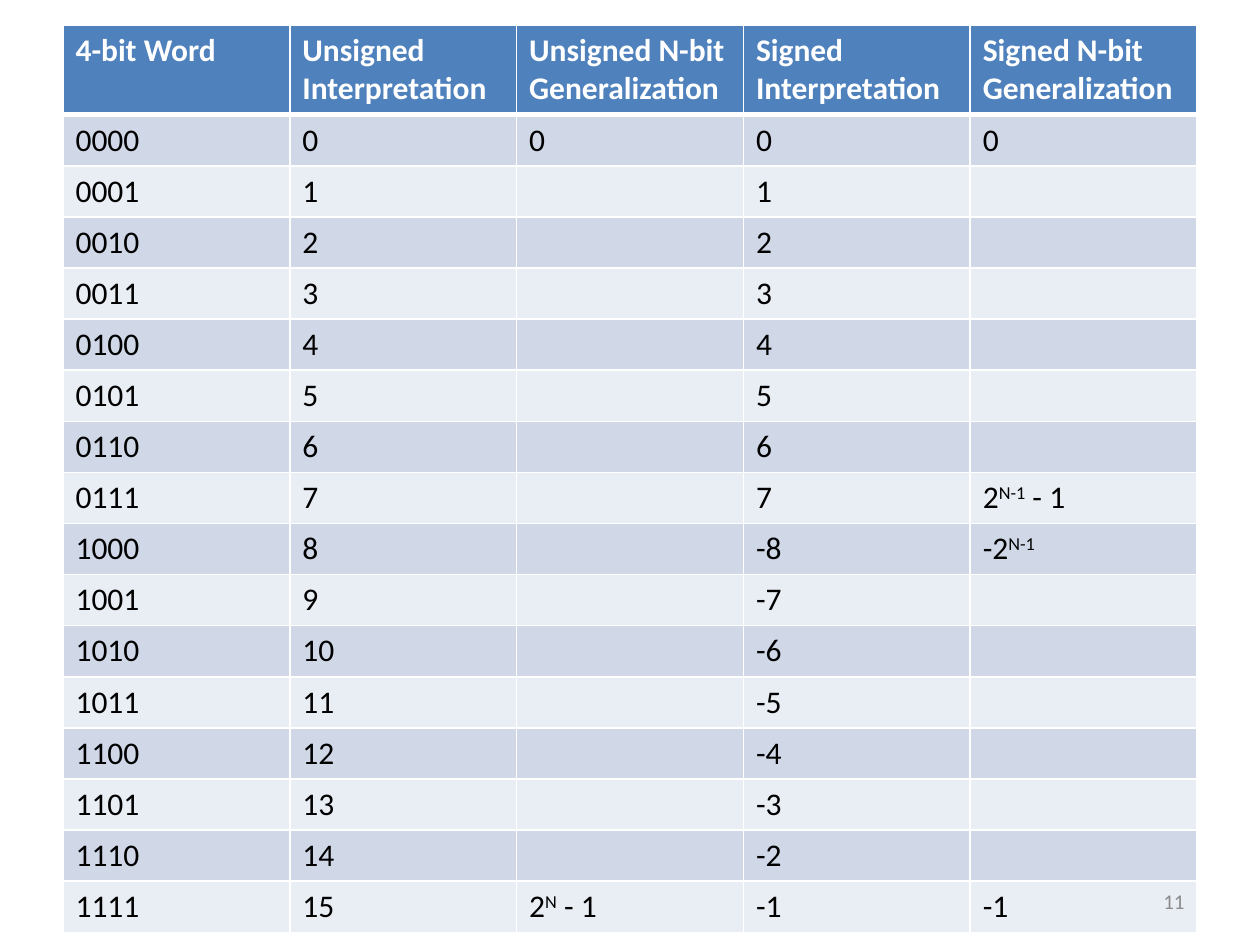
from lxml.etree import SubElement
from pptx import Presentation
from pptx.dml.color import RGBColor
from pptx.enum.text import MSO_ANCHOR, PP_ALIGN
from pptx.oxml.ns import qn
from pptx.util import Inches, Pt

COLORS = {
    "header": "4F81BD",
    "odd": "D0D8E8",
    "even": "E9EDF4",
    "white": "FFFFFF",
    "black": "000000",
    "gray": "8C8C8C",
}
FONT = "Calibri"
BITS = 4
HEADERS = [
    "4-bit Word",
    "Unsigned Interpretation",
    "Unsigned N-bit Generalization",
    "Signed Interpretation",
    "Signed N-bit Generalization",
]
UNSIGNED_GENERAL = {0: ["0"], 15: ["2", "^N", " - 1"]}
SIGNED_GENERAL = {
    0: ["0"],
    7: ["2", "^N-1", " - 1"],
    8: ["-2", "^N-1"],
    15: ["-1"],
}
PAGE_NUMBER = "11"

WIDTH, HEIGHT = 10, 7.5
MARGIN, TOP = 0.5, 0.2
TABLE_WIDTH, TABLE_HEIGHT = WIDTH - 2 * MARGIN, 7.1
HEADER_ROW, BODY_ROW = 0.57, 0.32


def word_row(value):
    count = 2 ** BITS
    signed = value if value < count // 2 else value - count
    return [
        [f"{value:0{BITS}b}"],
        [str(value)],
        UNSIGNED_GENERAL.get(value, []),
        [str(signed)],
        SIGNED_GENERAL.get(value, []),
    ]


def add_span(para, text, size, color, bold=False):
    span = para.add_run()
    span.text = text.removeprefix("^")
    span.font.name = FONT
    span.font.size = Pt(size)
    span.font.bold = bold
    span.font.color.rgb = RGBColor.from_string(COLORS[color])
    if text.startswith("^"):
        span.font._element.set("baseline", "30000")


def add_borders(cell, widths):
    properties = cell._tc.get_or_add_tcPr()
    for position, (side, width) in enumerate(widths.items()):
        line = SubElement(properties, qn(f"a:ln{side}"), w=str(Pt(width)))
        fill = SubElement(line, qn("a:solidFill"))
        SubElement(fill, qn("a:srgbClr"), val=COLORS["white"])
        properties.insert(position, line)


deck = Presentation()
deck.slide_width, deck.slide_height = Inches(WIDTH), Inches(HEIGHT)
page = deck.slides.add_slide(deck.slide_layouts[6])

rows = [[[header] for header in HEADERS]]
rows += [word_row(value) for value in range(2 ** BITS)]
frame = page.shapes.add_table(
    len(rows), len(HEADERS), Inches(MARGIN), Inches(TOP),
    Inches(TABLE_WIDTH), Inches(TABLE_HEIGHT),
)
table = frame.table
for column in table.columns:
    column.width = Inches(TABLE_WIDTH / len(HEADERS))

for row_index, row in enumerate(rows):
    is_header = row_index == 0
    table.rows[row_index].height = Inches(HEADER_ROW if is_header else BODY_ROW)
    fill = "header" if is_header else ("odd" if row_index % 2 else "even")
    borders = {
        "L": 1,
        "R": 1,
        "T": 3 if row_index == 1 else 1,
        "B": 3 if is_header else 1,
    }
    for column_index, spans in enumerate(row):
        cell = table.cell(row_index, column_index)
        cell.fill.solid()
        cell.fill.fore_color.rgb = RGBColor.from_string(COLORS[fill])
        add_borders(cell, borders)
        para = cell.text_frame.paragraphs[0]
        para.font.size = Pt(18)
        for text in spans:
            add_span(para, text, 18, "white" if is_header else "black", is_header)
frame.height = Inches(TABLE_HEIGHT)

number_box = page.shapes.add_textbox(
    Inches(7.17), Inches(6.95), Inches(2.33), Inches(0.4)
)
number_box.text_frame.word_wrap = True
number_box.text_frame.vertical_anchor = MSO_ANCHOR.MIDDLE
number_para = number_box.text_frame.paragraphs[0]
number_para.alignment = PP_ALIGN.RIGHT
add_span(number_para, PAGE_NUMBER, 12, "gray")

deck.save("out.pptx")
